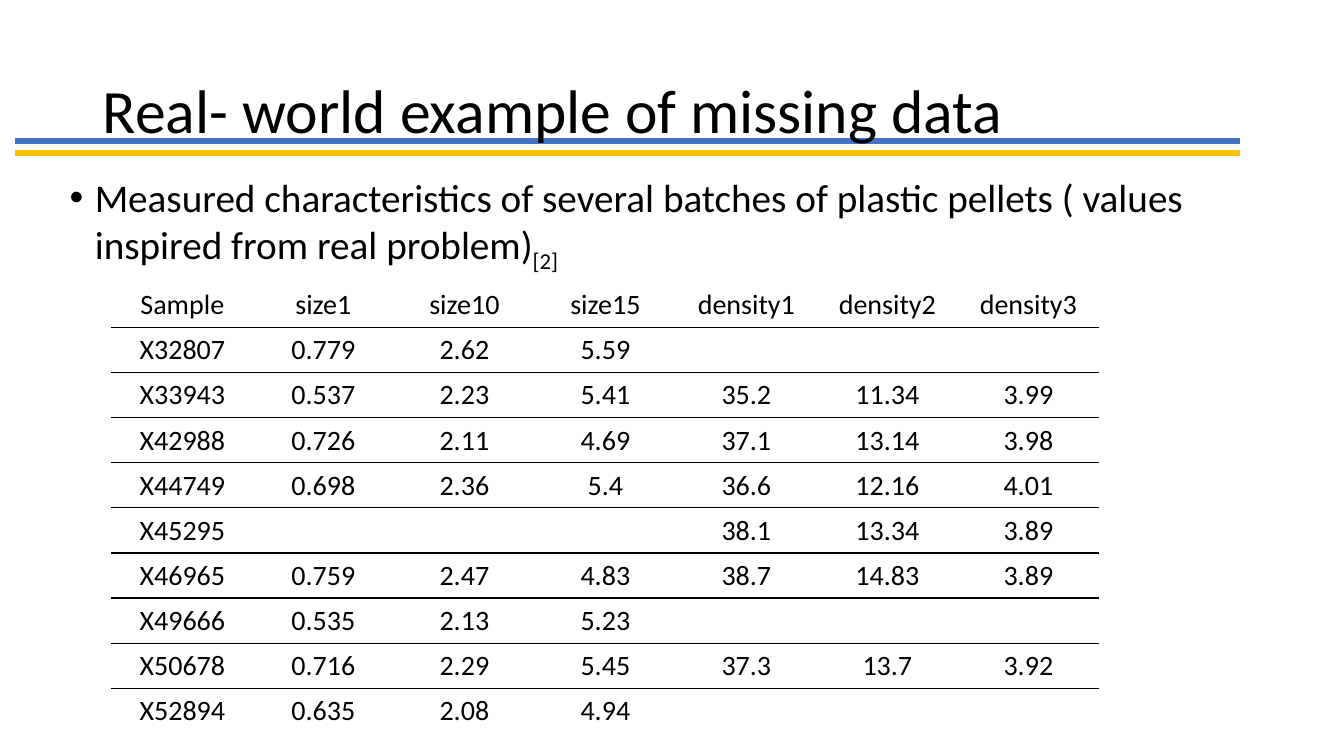
from lxml.etree import SubElement as Sub
from pptx import Presentation
from pptx.dml.color import RGBColor as RGB
from pptx.enum.shapes import MSO_CONNECTOR as Link
from pptx.enum.text import MSO_ANCHOR as Anchor, MSO_AUTO_SIZE as Fit, PP_ALIGN as Align
from pptx.oxml.ns import qn
from pptx.util import Inches, Pt

BLACK = RGB(0x00, 0x00, 0x00)
WHITE = RGB(0xFF, 0xFF, 0xFF)
BLUE = RGB(0x44, 0x72, 0xC4)
GOLD = RGB(0xFF, 0xC0, 0x00)
FONT = "Calibri"

ROWS = [
    ["Sample", "size1", "size10", "size15", "density1", "density2", "density3"],
    ["X32807", "0.779", "2.62", "5.59", "", "", ""],
    ["X33943", "0.537", "2.23", "5.41", "35.2", "11.34", "3.99"],
    ["X42988", "0.726", "2.11", "4.69", "37.1", "13.14", "3.98"],
    ["X44749", "0.698", "2.36", "5.4", "36.6", "12.16", "4.01"],
    ["X45295", "", "", "", "38.1", "13.34", "3.89"],
    ["X46965", "0.759", "2.47", "4.83", "38.7", "14.83", "3.89"],
    ["X49666", "0.535", "2.13", "5.23", "", "", ""],
    ["X50678", "0.716", "2.29", "5.45", "37.3", "13.7", "3.92"],
    ["X52894", "0.635", "2.08", "4.94", "", "", ""],
]


def style(para, size):
    """Set font, size and colour on every run of a paragraph."""
    for run in para.runs:
        run.font.name = FONT
        run.font.size = Pt(size)
        run.font.color.rgb = BLACK


def place(shape, box):
    """Move a placeholder to a box given in inches."""
    shape.left, shape.top, shape.width, shape.height = map(Inches, box)
    shape.text_frame.auto_size = Fit.NONE
    shape.text_frame.word_wrap = True


def add_rules(slide, box):
    """Draw the gold and blue rules along the box edges, behind the text."""
    left, top, width, height = box
    for y, color in ((top, BLUE), (top + height, GOLD)):
        rule = slide.shapes.add_connector(
            Link.STRAIGHT, Inches(left), Inches(y), Inches(left + width), Inches(y))
        rule.line.color.rgb = color
        rule.line.width = Pt(4.5)
        Sub(rule._element.spPr, qn("a:effectLst"))
        slide.shapes._spTree.insert(2, rule._element)


def add_title(slide, box):
    """Fill the title placeholder."""
    title = slide.shapes.title
    place(title, box)
    frame = title.text_frame
    frame.text = "Real- world example of missing data"
    frame.vertical_anchor = Anchor.MIDDLE
    para = frame.paragraphs[0]
    para.alignment = Align.LEFT
    para.line_spacing = 0.9
    style(para, 44)


def add_body(slide, box):
    """Fill the body placeholder with one bullet and its citation."""
    body = slide.placeholders[1]
    place(body, box)
    para = body.text_frame.paragraphs[0]
    para.text = ("Measured characteristics of several batches of plastic pellets "
                 "( values inspired from real problem)")
    cite = para.add_run()
    cite.text = "[2]"
    para.line_spacing = 0.9
    para.space_before = Pt(10)
    style(para, 28)
    cite._r.get_or_add_rPr().set("baseline", "-25000")
    props = para._p.get_or_add_pPr()
    props.set("marL", str(Inches(0.25)))
    props.set("indent", str(Inches(-0.25)))
    Sub(props, qn("a:buFont"), typeface="Arial")
    Sub(props, qn("a:buChar"), char="•")


def add_edge(cell, side, color):
    """Draw one cell border, one point wide."""
    edge = Sub(cell._tc.get_or_add_tcPr(), qn("a:ln" + side), w=str(Pt(1)))
    fill = Sub(edge, qn("a:solidFill"))
    Sub(fill, qn("a:srgbClr"), val=str(color))


def fill_cell(cell, text, top, base):
    """Write a cell, with the given top and bottom border colours."""
    cell.margin_left = cell.margin_right = cell.margin_top = Inches(0.01)
    cell.margin_bottom = Inches(0.05)
    cell.vertical_anchor = Anchor.BOTTOM
    cell.text = text
    para = cell.text_frame.paragraphs[0]
    para.alignment = Align.CENTER
    style(para, 20)
    for side, color in zip("LRTB", (WHITE, WHITE, top, base)):
        add_edge(cell, side, color)
    cell.fill.background()


def add_data(slide, box):
    """Build the table of samples, ruled between its rows."""
    frame = slide.shapes.add_table(len(ROWS), len(ROWS[0]), *map(Inches, box))
    table = frame.table
    table.first_row = table.horz_banding = False
    last = len(ROWS) - 1
    for r, row in enumerate(ROWS):
        top = BLACK if r > 0 else WHITE
        base = BLACK if r < last else WHITE
        for c, text in enumerate(row):
            fill_cell(table.cell(r, c), text, top, base)


def main():
    """Build and save the slide."""
    deck = Presentation()
    deck.slide_width = Inches(13.33)
    deck.slide_height = Inches(7.5)
    slide = deck.slides.add_slide(deck.slide_layouts[1])
    add_rules(slide, (0.15, 1.4, 12.15, 0.12))
    add_title(slide, (0.92, 0.4, 11.5, 1.45))
    add_body(slide, (0.59, 1.72, 11.5, 4.76))
    add_data(slide, (1.11, 2.8, 9.79, 4.48))
    deck.save("out.pptx")


main()
